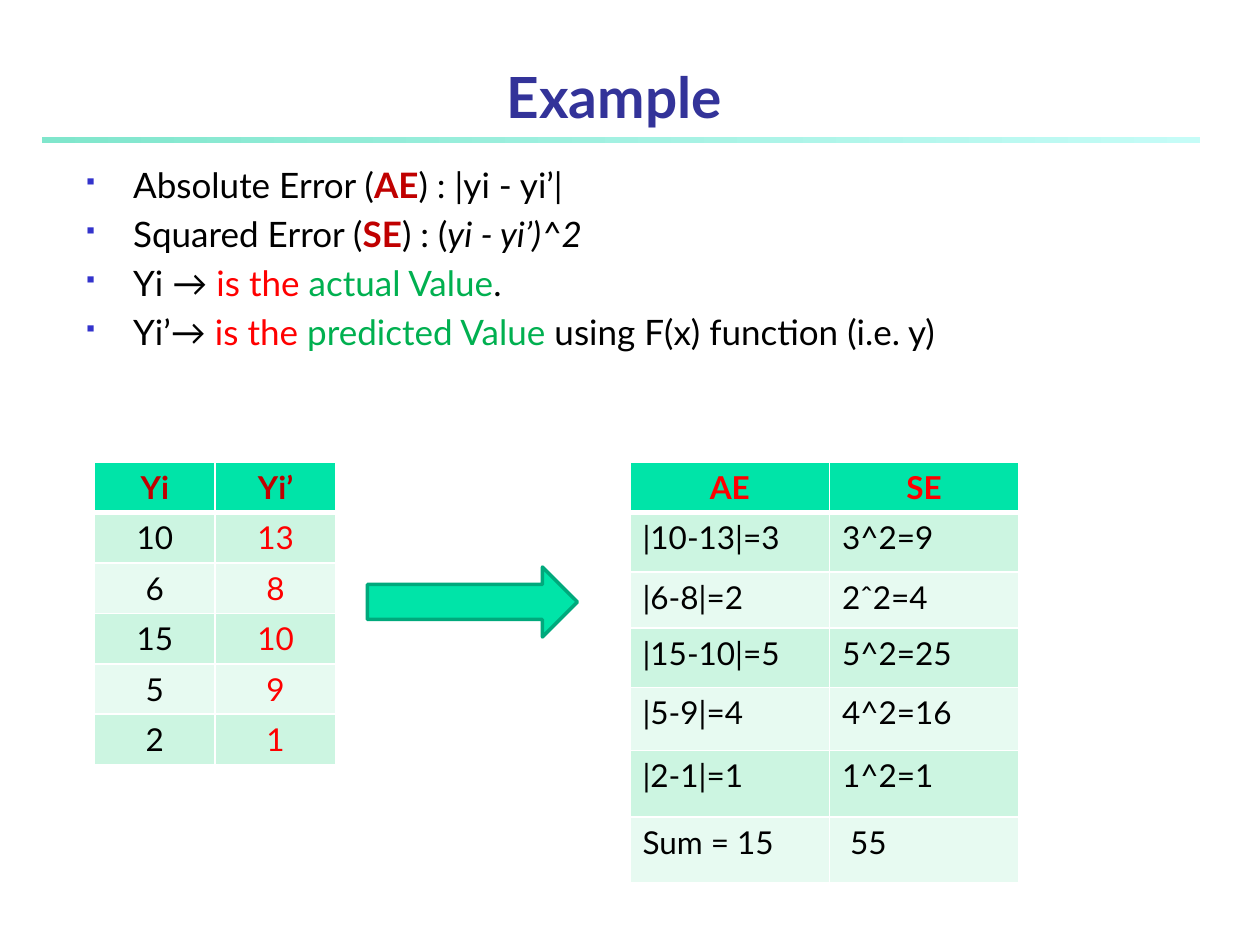
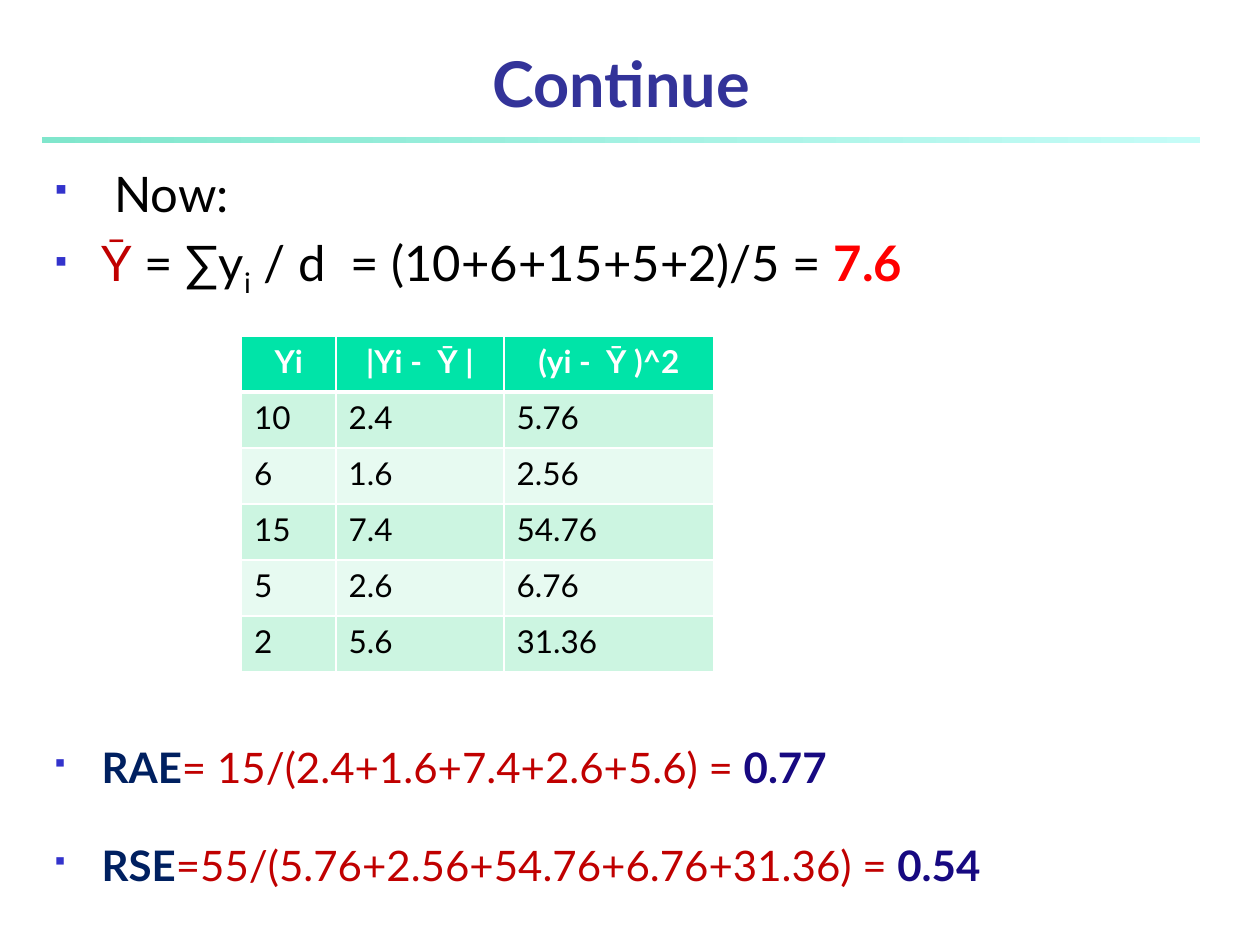
from lxml import etree
from pptx import Presentation
from pptx.dml.color import RGBColor
from pptx.enum.shapes import MSO_SHAPE
from pptx.enum.text import MSO_ANCHOR, PP_ALIGN
from pptx.oxml.ns import qn
from pptx.util import Pt

RECT, RIGHT_ARROW = MSO_SHAPE.RECTANGLE, MSO_SHAPE.RIGHT_ARROW
LEFT, CENTER = PP_ALIGN.LEFT, PP_ALIGN.CENTER
TOP, BOTTOM = MSO_ANCHOR.TOP, MSO_ANCHOR.BOTTOM

FONT = "Lato"
BLACK, WHITE, RED, DARK_RED, GREEN = "000000", "FFFFFF", "FF0000", "C00000", "00B050"
NAVY, INDIGO, TITLE, BULLET = "002060", "170981", "333399", "3333CC"
ACCENT, ACCENT_LINE = "00E4A8", "00A97C"
BANDS = ("CCF5E1", "E7FAF1")
RULE_FROM, RULE_TO = "80E6CC", "C5FCF7"
INDENT = 27
TABLE_SIZE = 18

# A run is (text, colour, other font settings); a box is (left, top, width, height).
BOLD, ITALIC = {"bold": True}, {"italic": True}

EXAMPLE = {
    "title": ("Example", 32.4, (18, 30, 666, 48)),
    "texts": [{
        "box": (42, 90, 648, 416), "size": 20, "gaps": (4, 4, 4, 4),
        "lines": [
            [("Absolute Error (", BLACK, {}), ("AE", DARK_RED, BOLD), (") : |yi - yi’|", BLACK, {})],
            [("Squared Error (", BLACK, {}), ("SE", DARK_RED, BOLD), (") : (", BLACK, {}),
             ("yi - yi’)^2", BLACK, ITALIC)],
            [("Yi → ", BLACK, {}), ("is the ", RED, {}), ("actual Value", GREEN, {}), (".", BLACK, {})],
            [("Yi’→ ", BLACK, {}), ("is the ", RED, {}), ("predicted Value ", GREEN, {}),
             ("using F(x) function (i.e. y)", BLACK, {})],
        ],
    }],
    "tables": [
        {
            "at": (54, 264), "widths": (69, 69), "heights": [28.8] * 6,
            "head": DARK_RED, "body": (BLACK, RED), "align": CENTER,
            "rows": [("Yi", "Yi’"), ("10", "13"), ("6", "8"), ("15", "10"), ("5", "9"), ("2", "1")],
        },
        {
            "at": (360, 264), "widths": (114, 108), "heights": [28.8, 34, 32, 34, 36, 38, 37.5],
            "head": RED, "body": (BLACK, BLACK), "align": LEFT,
            "rows": [("AE", "SE"), ("|10-13|=3", "3^2=9"), ("|6-8|=2", "2ˆ2=4"),
                     ("|15-10|=5", "5^2=25"), ("|5-9|=4", "4^2=16"), ("|2-1|=1", "1^2=1"),
                     ("Sum = 15", " 55")],
        },
    ],
    "arrow": (210, 324, 120, 40),
}

CONTINUE = {
    "title": ("Continue", 36, (24, 30, 662, 42)),
    "texts": [
        {
            "box": (24, 90, 545, 82), "size": 28, "gaps": (5.6, 5.6),
            "lines": [
                [(" Now:", BLACK, {})],
                [("Ῡ", DARK_RED, {}), (" = ∑y", BLACK, {}), ("i", BLACK, {"baseline": "-25000"}),
                 (" / d  = (10+6+15+5+2)/5 = ", BLACK, {}), ("7.6", RED, BOLD)],
            ],
        },
        {
            "box": (24, 420, 648, 94), "size": 24, "gaps": (4.8, 27.2),
            "lines": [
                [("RAE", NAVY, BOLD), ("= 15/(2.4+1.6+7.4+2.6+5.6) = ", DARK_RED, {}),
                 ("0.77", INDIGO, BOLD)],
                [("RSE", NAVY, BOLD), ("=55/(5.76+2.56+54.76+6.76+31.36) = ", DARK_RED, {}),
                 ("0.54", INDIGO, BOLD)],
            ],
        },
    ],
    "tables": [{
        "at": (138, 192), "widths": (54, 96, 120), "heights": [32] * 6,
        "head": WHITE, "body": (BLACK, BLACK, BLACK), "align": LEFT,
        "rows": [("Yi", "|Yi -  Ῡ |", "(yi -  Ῡ )^2"), ("10", "2.4", "5.76"), ("6", "1.6", "2.56"),
                 ("15", "7.4", "54.76"), ("5", "2.6", "6.76"), ("2", "5.6", "31.36")],
    }],
}


def rgb(value):
    return RGBColor.from_string(value)


def points(values):
    return [Pt(v) for v in values]


def add_run(p, text, size, color, settings):
    r = p.add_run()
    r.text = text
    r.font.color.rgb = rgb(color)
    for name, value in {"name": FONT, "size": Pt(size), **settings}.items():
        if name == "baseline":
            r.font._element.set(name, value)
        else:
            setattr(r.font, name, value)


def add_bullet(p):
    pPr = p._p.get_or_add_pPr()
    pPr.set("marL", str(Pt(INDENT)))
    pPr.set("indent", str(-Pt(INDENT)))
    color = etree.SubElement(pPr, qn("a:buClr"))
    etree.SubElement(color, qn("a:srgbClr"), val=BULLET)
    etree.SubElement(pPr, qn("a:buSzPct"), val="60000")
    etree.SubElement(pPr, qn("a:buFont"), typeface="Wingdings")
    etree.SubElement(pPr, qn("a:buChar"), char="§")


def add_frame(slide, box, anchor):
    tf = slide.shapes.add_textbox(*points(box)).text_frame
    tf.word_wrap = True
    tf.vertical_anchor = anchor
    return tf


def add_title(slide, text, size, box):
    p = add_frame(slide, box, BOTTOM).paragraphs[0]
    p.alignment = CENTER
    add_run(p, text, size, TITLE, BOLD)


def add_bullets(slide, box, size, gaps, lines):
    tf = add_frame(slide, box, TOP)
    for i, (gap, line) in enumerate(zip(gaps, lines)):
        p = tf.add_paragraph() if i else tf.paragraphs[0]
        p.space_before = Pt(gap)
        add_bullet(p)
        for text, color, settings in line:
            add_run(p, text, size, color, settings)


def add_borders(cell, widths):
    """Draw white borders; widths are left, right, top, bottom."""
    tcPr = cell._tc.get_or_add_tcPr()
    for side, width in zip("LRTB", widths):
        ln = etree.SubElement(tcPr, qn(f"a:ln{side}"), w=str(Pt(width)))
        fill = etree.SubElement(ln, qn("a:solidFill"))
        etree.SubElement(fill, qn("a:srgbClr"), val=WHITE)


def add_grid(slide, at, widths, heights, head, body, align, rows):
    box = points((*at, sum(widths), sum(heights)))
    table = slide.shapes.add_table(len(rows), len(widths), *box).table
    for column, width in zip(table.columns, widths):
        column.width = Pt(width)
    for i, (row, height, texts) in enumerate(zip(table.rows, heights, rows)):
        row.height = Pt(height)
        is_head = i == 0
        for cell, text, color in zip(row.cells, texts, body):
            add_borders(cell, (1, 1, 3 if i == 1 else 1, 3 if is_head else 1))
            cell.fill.solid()
            cell.fill.fore_color.rgb = rgb(ACCENT if is_head else BANDS[(i - 1) % 2])
            p = cell.text_frame.paragraphs[0]
            p.alignment = CENTER if is_head else align
            add_run(p, text, TABLE_SIZE, head if is_head else color, {"bold": is_head})


def add_rule(slide):
    """Draw the fading band under the title."""
    sp = slide.shapes.add_shape(RECT, *points((24, 78, 662, 3.6)))
    sp.shadow.inherit = False
    sp.line.fill.background()
    sp.fill.gradient()
    sp.fill.gradient_angle = 0
    for stop, color in zip(sp.fill.gradient_stops, (RULE_FROM, RULE_TO)):
        stop.color.rgb = rgb(color)


def add_arrow(slide, box):
    sp = slide.shapes.add_shape(RIGHT_ARROW, *points(box))
    sp.shadow.inherit = False
    sp.fill.solid()
    sp.fill.fore_color.rgb = rgb(ACCENT)
    sp.line.color.rgb = rgb(ACCENT_LINE)
    sp.line.width = Pt(2)


def build_slide(prs, content):
    slide = prs.slides.add_slide(prs.slide_layouts[6])
    add_rule(slide)
    add_title(slide, *content["title"])
    for text in content["texts"]:
        add_bullets(slide, **text)
    for table in content["tables"]:
        add_grid(slide, **table)
    if "arrow" in content:
        add_arrow(slide, content["arrow"])


def main():
    prs = Presentation()
    prs.slide_width, prs.slide_height = Pt(720), Pt(540)
    for content in (EXAMPLE, CONTINUE):
        build_slide(prs, content)
    prs.save("out.pptx")


if __name__ == "__main__":
    main()
